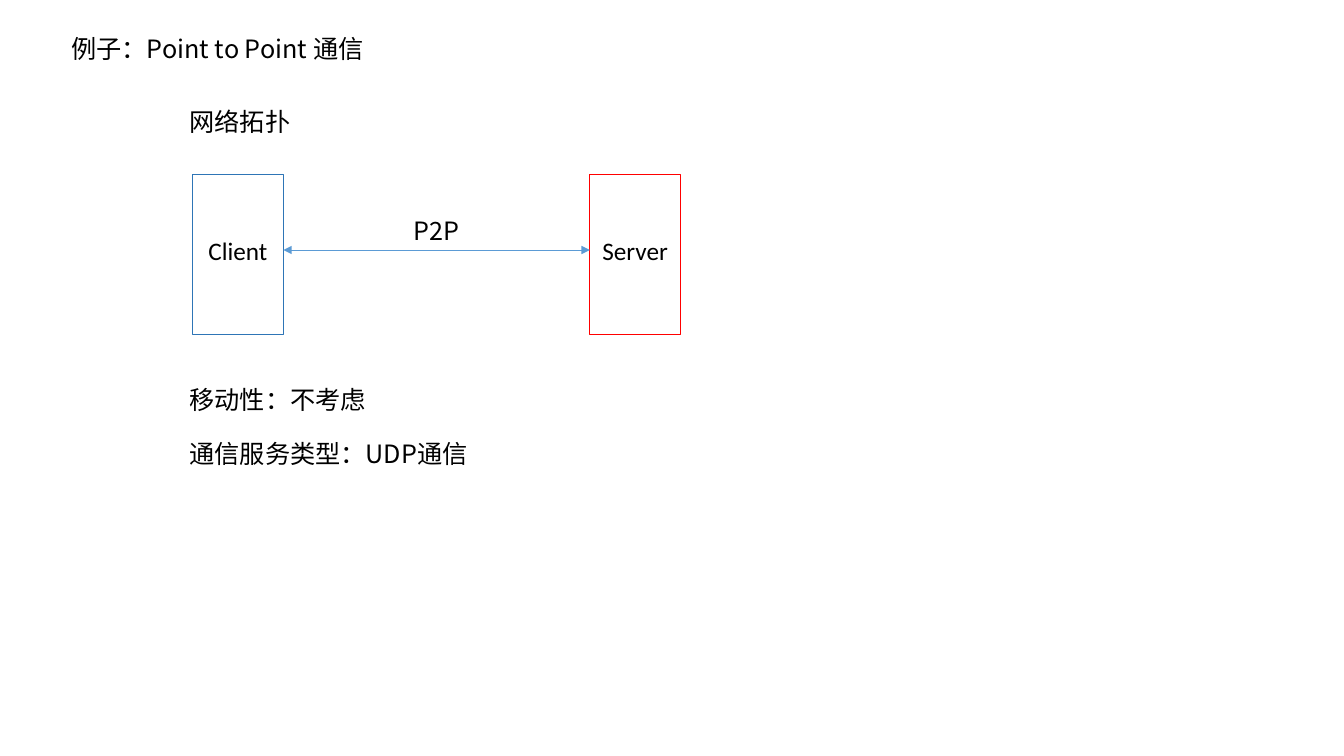
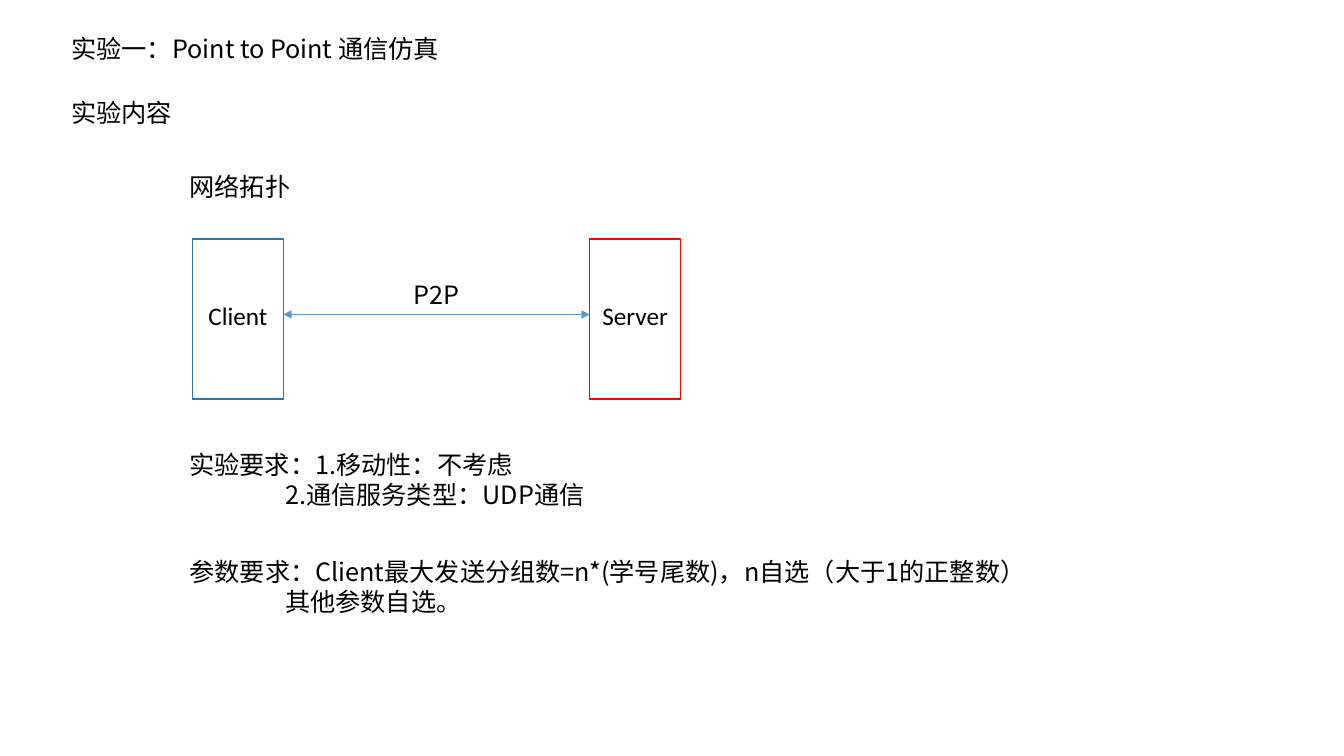
from dataclasses import dataclass

from lxml import etree
from pptx import Presentation
from pptx import util as u
from pptx.dml.color import RGBColor
from pptx.enum import shapes, text
from pptx.oxml import ns


@dataclass(frozen=True)
class Theme:
    ink: str = "000000"
    client: str = "2E75B6"
    server: str = "FF0000"
    link: str = "5B9BD5"
    body: str = "Noto Sans CJK SC"
    label: str = "Calibri"
    size: float = 18
    pitch: float = 22  # line height
    edge: float = 1
    thin: float = 0.5


T = Theme()
LEFT, INNER = 0.61, 1.78  # title and content margins
ROW = 0.4  # height of one text row
HANG = 0.95  # indent of follow-on lines
NODE_W, NODE_H = 0.9, 1.59
NODES = (("Client", 1.91, T.client), ("Server", 5.85, T.server))


def put(item, values):
    for name, value in values.items():
        setattr(item, name, value)


def box(*sides):
    return [u.Inches(side) for side in sides]


def add(node, tag, **attrs):
    return etree.SubElement(node, ns.qn(tag), attrs)


# Text: one paragraph per line, follow-on lines indented
def write(slide, lines, left, top, width, font=T.body, align=text.PP_ALIGN.LEFT):
    high = ROW + (len(lines) - 1) * T.pitch / 72
    frame = slide.shapes.add_textbox(*box(left, top, width, high)).text_frame
    put(frame, {"word_wrap": True, "auto_size": text.MSO_AUTO_SIZE.SHAPE_TO_FIT_TEXT})
    for i, line in enumerate(lines):
        para = frame.add_paragraph() if i else frame.paragraphs[0]
        put(para, {"alignment": align, "line_spacing": u.Pt(T.pitch)})
        if i:
            para._p.get_or_add_pPr().set("marL", str(u.Inches(HANG)))
        run = para.add_run()
        run.text = line
        put(run.font, {"size": u.Pt(T.size), "name": font})
        run.font.color.rgb = RGBColor.from_string(T.ink)
        add(run._r.get_or_add_rPr(), "a:ea", typeface=font)


def stroke(line, color, width):
    line.color.rgb = RGBColor.from_string(color)
    line.width = u.Pt(width)


# Outlined network node with its name
def node(slide, name, left, top, color):
    rect = slide.shapes.add_shape(
        shapes.MSO_SHAPE.RECTANGLE, *box(left, top, NODE_W, NODE_H))
    rect.shadow.inherit = False
    rect.fill.background()
    stroke(rect.line, color, T.edge)
    write(slide, [name], left, top + 0.55, NODE_W, T.label, text.PP_ALIGN.CENTER)


# Two-way arrow
def link(slide, start, end, y):
    wire = slide.shapes.add_connector(
        shapes.MSO_CONNECTOR.STRAIGHT, *box(start, y, end, y))
    stroke(wire.line, T.link, T.thin)
    for tag in ("a:headEnd", "a:tailEnd"):
        add(wire.line._get_or_add_ln(), tag, type="triangle")
    add(wire._element.spPr, "a:effectLst")


# Heading, both nodes and the link between them
def network(slide, top):
    write(slide, ["网络拓扑"], INNER, top, 2.88)
    for name, left, color in NODES:
        node(slide, name, left, top + 0.73, color)
    link(slide, NODES[0][1] + NODE_W, NODES[1][1], top + 1.48)
    write(slide, ["P2P"], 3.73, top + 1.08, 1.2, align=text.PP_ALIGN.CENTER)


# Slide with title, network and a list of (top, width, lines) notes
def page(deck, title, top, notes):
    slide = deck.slides.add_slide(deck.slide_layouts[6])
    write(slide, [title], LEFT, 0.28, 4.4)
    network(slide, top)
    for y, width, lines in notes:
        write(slide, lines, INNER, y, width)
    return slide


def main():
    deck = Presentation()
    put(deck, {"slide_width": u.Inches(13.33), "slide_height": u.Inches(7.5)})

    # Example
    page(deck, "例子：Point to Point 通信", 1, [
        (3.76, 2.88, ["移动性：不考虑"]),
        (4.29, 3.39, ["通信服务类型：UDP通信"]),
    ])

    # Experiment
    task = page(deck, "实验一：Point to Point 通信仿真", 1.64, [
        (4.4, 4.83, ["实验要求：1.移动性：不考虑", "2.通信服务类型：UDP通信"]),
        (5.46, 9.25, ["参数要求：Client最大发送分组数=n*(学号尾数)，n自选（大于1的正整数）",
                      "其他参数自选。"]),
    ])
    write(task, ["实验内容"], LEFT, 0.91, 4.4)

    deck.save("out.pptx")


if __name__ == "__main__":
    main()
